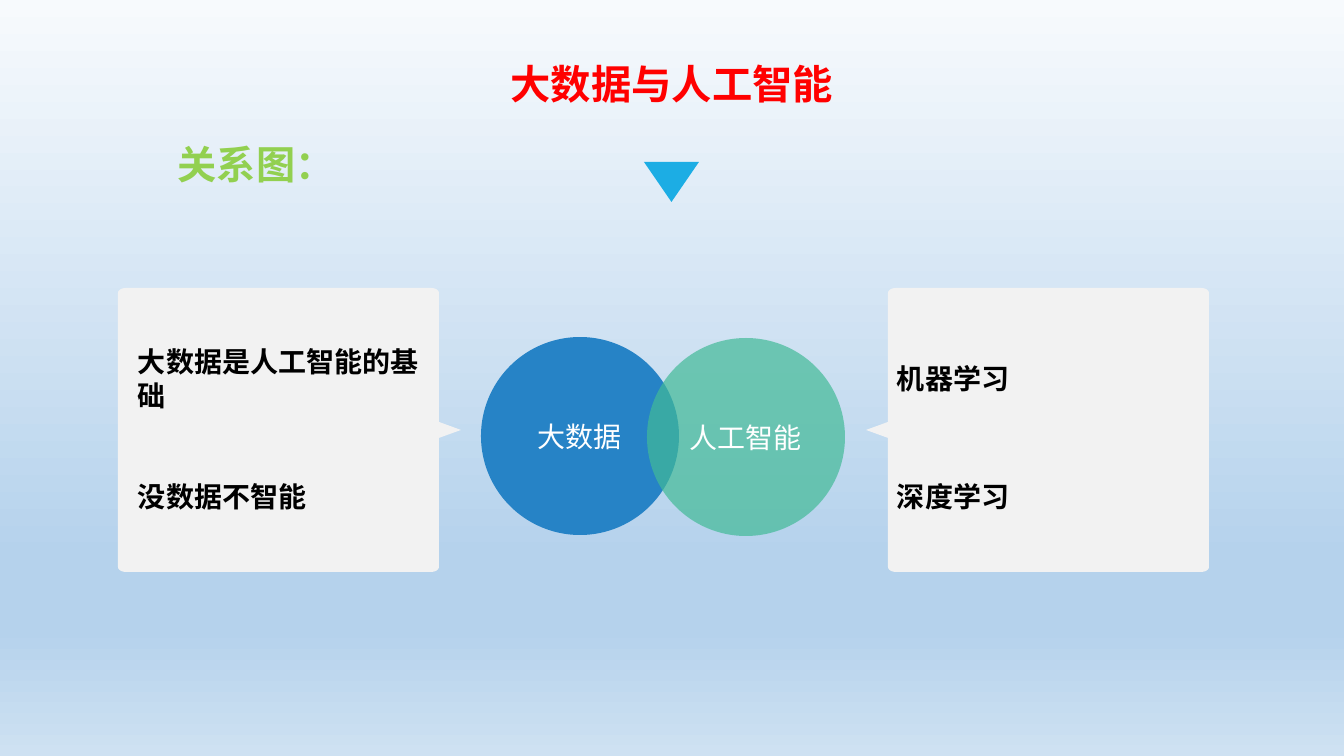
from math import cos, pi, sin

from lxml.etree import SubElement
from pptx import Presentation
from pptx.dml.color import RGBColor
from pptx.enum.shapes import MSO_SHAPE
from pptx.enum.text import MSO_ANCHOR, PP_ALIGN
from pptx.oxml.ns import qn
from pptx.util import Pt

RED = RGBColor(0xFF, 0x00, 0x00)
LIME = RGBColor(0x92, 0xD0, 0x50)
SKY = RGBColor(0x1C, 0xAD, 0xE4)
BLUE = RGBColor(0x26, 0x83, 0xC6)
GREEN = RGBColor(0x42, 0xBA, 0x97)
GREY = RGBColor(0xF2, 0xF2, 0xF2)
BLACK = RGBColor(0x00, 0x00, 0x00)
WHITE = RGBColor(0xFF, 0xFF, 0xFF)
BACKDROP = [
    (0, RGBColor(0xF7, 0xFA, 0xFD)),
    (74, RGBColor(0xB5, 0xD2, 0xEC)),
    (83, RGBColor(0xB5, 0xD2, 0xEC)),
    (100, RGBColor(0xCE, 0xE1, 0xF2)),
]


class SlideBuilder:
    """Draws styled elements on one slide, with lengths in px."""

    FONT = "Calibri"
    SCALE = 914400 / 100.8

    def __init__(self, width, height):
        self.prs = Presentation()
        self.prs.slide_width, self.prs.slide_height = self.emu(width, height)
        self.s = self.prs.slides.add_slide(self.prs.slide_layouts[6])

    def emu(self, *lengths):
        return [round(v * self.SCALE) for v in lengths]

    def background(self, stops):
        fill = self.s.background.fill
        fill.gradient()
        fill.gradient_angle = 270
        stop_list = self.s.element.find(".//" + qn("a:gsLst"))
        for old in list(stop_list):
            stop_list.remove(old)
        for percent, color in stops:
            stop = SubElement(stop_list, qn("a:gs"), pos=str(percent * 1000))
            SubElement(stop, qn("a:srgbClr"), val=str(color))

    def paint(self, sp, color, opacity=100):
        sp.shadow.inherit = False
        sp.fill.solid()
        sp.fill.fore_color.rgb = color
        sp.line.fill.background()
        if opacity < 100:
            clr = sp.element.spPr.find(".//" + qn("a:srgbClr"))
            SubElement(clr, qn("a:alpha"), val=str(opacity * 1000))

    def set_text(self, tf, text, size, color, bold, align, spacing=None):
        tf.word_wrap = True
        tf.text = text
        p = tf.paragraphs[0]
        p.alignment = align
        p.line_spacing = spacing
        r = p.runs[0]
        r.font.name = self.FONT
        r.font.size = Pt(size)
        r.font.bold = bold
        r.font.color.rgb = color
        SubElement(r.font._element, qn("a:ea"), typeface=self.FONT)

    def heading(self, box, text, size, color, align, anchor):
        tf = self.s.shapes.add_textbox(*self.emu(*box)).text_frame
        tf.vertical_anchor = anchor
        self.set_text(tf, text, size, color, True, align, 0.9)

    def note(self, box, text):
        tf = self.s.shapes.add_textbox(*self.emu(*box)).text_frame
        tf.margin_left = tf.margin_right = tf.margin_top = tf.margin_bottom = 0
        tf.vertical_anchor = MSO_ANCHOR.MIDDLE
        self.set_text(tf, text, 20, BLACK, True, PP_ALIGN.LEFT)

    def marker(self, box, color):
        sp = self.s.shapes.add_shape(MSO_SHAPE.FLOWCHART_MERGE, *self.emu(*box))
        self.paint(sp, color)

    def circle(self, x, y, size, text, color, opacity=100):
        sp = self.s.shapes.add_shape(MSO_SHAPE.OVAL, *self.emu(x, y, size, size))
        self.paint(sp, color, opacity)
        sp.text_frame.vertical_anchor = MSO_ANCHOR.MIDDLE
        self.set_text(sp.text_frame, text, 20, WHITE, False, PP_ALIGN.CENTER)

    def callout(self, back, front, top, bottom, tip):
        """Draw a rounded panel whose pointer leaves the front side."""
        side = 1 if front > back else -1
        rx, ry, steps = 8 * side, 5, 6
        middle = (top + bottom) / 2
        corners = [
            (back + rx, top + ry, pi),
            (front - rx, top + ry, 1.5 * pi),
            (front - rx, bottom - ry, 0),
            (back + rx, bottom - ry, 0.5 * pi),
        ]
        arcs = [
            [(cx + rx * cos(start + i * pi / 2 / steps),
              cy + ry * sin(start + i * pi / 2 / steps)) for i in range(steps + 1)]
            for cx, cy, start in corners
        ]
        pointer = [(front, middle - 8), (tip, middle), (front, middle + 8)]
        outline = arcs[0] + arcs[1] + pointer + arcs[2] + arcs[3]
        points = [self.emu(*point) for point in outline]
        builder = self.s.shapes.build_freeform(*points[0], scale=1.0)
        builder.add_line_segments(points[1:], close=True)
        self.paint(builder.convert_to_shape(), GREY)


def main():
    b = SlideBuilder(1344, 756)
    b.background(BACKDROP)
    b.heading((168, 56, 1008, 57), "大数据与人工智能", 28.8, RED,
              PP_ALIGN.CENTER, MSO_ANCHOR.BOTTOM)
    b.heading((168, 141, 1008, 545), "关系图：", 28, LIME,
              PP_ALIGN.LEFT, MSO_ANCHOR.TOP)
    b.marker((644, 162, 55, 40), SKY)
    b.circle(481, 337, 198, "大数据", BLUE)
    b.circle(647, 338, 198, "人工智能", GREEN, 70)
    panels = [
        (118, 439, 461, 138, ("大数据是人工智能的基础", "没数据不智能")),
        (1209, 888, 866, 897, ("机器学习", "深度学习")),
    ]
    for back, front, tip, text_x, (upper, lower) in panels:
        b.callout(back, front, 288, 572, tip)
        b.note((text_x, 330, 291, 97), upper)
        b.note((text_x, 456, 291, 81), lower)
    b.prs.save("out.pptx")


if __name__ == "__main__":
    main()
